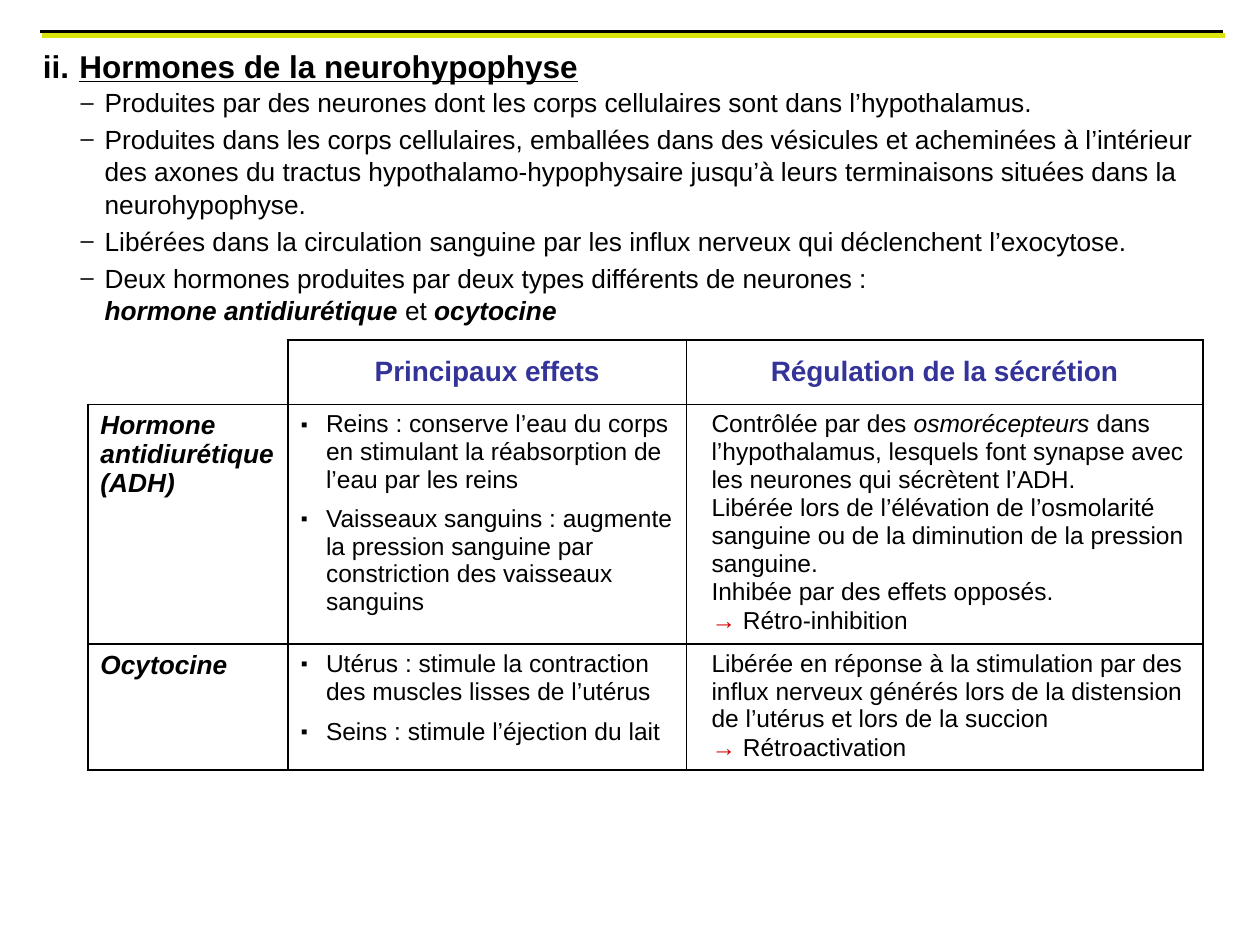
from dataclasses import dataclass

from lxml import etree
from pptx import Presentation
from pptx.dml.color import RGBColor
from pptx.enum import shapes, text
from pptx.oxml.ns import qn
from pptx.util import Pt


@dataclass(frozen=True)
class Theme:
    font: str = "Arial"
    ink: str = "000000"
    heading: str = "333399"
    arrow: str = "D20000"
    rule: str = "D9E30D"
    title_size: float = 18
    header_size: float = 16
    body_size: float = 15
    cell_size: float = 14


@dataclass(frozen=True)
class Bullet:
    char: str
    color: str
    percent: int = 100


@dataclass(frozen=True)
class Run:
    text: str
    bold: bool = False
    italic: bool = False


@dataclass(frozen=True)
class Rule:
    left: float
    top: float
    width: float
    color: str
    weight: float


@dataclass(frozen=True)
class Hormone:
    name: str
    effects: tuple
    regulation: tuple
    feedback: str


T = Theme()
DASH = Bullet("–", T.ink, 90)
SQUARE = Bullet("▪", T.ink, 80)
ARROW = Bullet("→", T.arrow)

RULES = [Rule(23.8, 20.2, 676, T.rule, 3), Rule(23, 18, 676, T.ink, 1.5)]
TITLE = "Hormones de la neurohypophyse"
POINTS = [
    "Produites par des neurones dont les corps cellulaires sont dans l’hypothalamus.",
    "Produites dans les corps cellulaires, emballées dans des vésicules et acheminées "
    "à l’intérieur des axones du tractus hypothalamo-hypophysaire jusqu’à leurs "
    "terminaisons situées dans la neurohypophyse.",
    "Libérées dans la circulation sanguine par les influx nerveux qui déclenchent l’exocytose.",
    "Deux hormones produites par deux types différents de neurones :",
]
NAMES = [Run("hormone antidiurétique", True, True), Run(" et "), Run("ocytocine", True, True)]
HEADERS = ["Principaux effets", "Régulation de la sécrétion"]
HORMONES = [
    Hormone(
        "Hormone antidiurétique (ADH)",
        ("Reins : conserve l’eau du corps en stimulant la réabsorption de l’eau par les reins",
         "Vaisseaux sanguins : augmente la pression sanguine par constriction des "
         "vaisseaux sanguins"),
        ([Run("Contrôlée par des "), Run("osmorécepteurs", italic=True),
          Run(" dans l’hypothalamus, lesquels font synapse avec les neurones qui "
              "sécrètent l’ADH.")],
         "Libérée lors de l’élévation de l’osmolarité sanguine ou de la diminution de "
         "la pression sanguine.",
         "Inhibée par des effets opposés."),
        " Rétro-inhibition"),
    Hormone(
        "Ocytocine",
        ("Utérus : stimule la contraction des muscles lisses de l’utérus",
         "Seins : stimule l’éjection du lait"),
        ("Libérée en réponse à la stimulation par des influx nerveux générés lors de la "
         "distension de l’utérus et lors de la succion",),
        " Rétroactivation"),
]
COLUMNS = [114.5, 227.5, 295.2]
ROWS = [36.7, 137, 72]


def add_text(tf, content, *, size: float, color: str = T.ink, bold=False, italic=False,
             underline=False, align=text.PP_ALIGN.LEFT, level=0, margin: float = 0,
             indent: float = 0, before: float = 0, after: float = 0, spacing: float = 1,
             bullet=None, number=None):
    p = tf.paragraphs[0]
    if p.runs:
        p = tf.add_paragraph()
    p.alignment, p.level, p.line_spacing = align, level, spacing
    p.space_before, p.space_after = Pt(before), Pt(after)
    pPr = p._p.get_or_add_pPr()
    pPr.set("marL", str(Pt(margin)))
    pPr.set("indent", str(Pt(indent)))
    if bullet:
        clr = etree.SubElement(pPr, qn("a:buClr"))
        etree.SubElement(clr, qn("a:srgbClr"), val=bullet.color)
        etree.SubElement(pPr, qn("a:buSzPct"), val=str(bullet.percent * 1000))
        etree.SubElement(pPr, qn("a:buFont"), typeface=T.font)
        etree.SubElement(pPr, qn("a:buChar"), char=bullet.char)
    elif number:
        etree.SubElement(pPr, qn("a:buFont"), typeface=T.font)
        etree.SubElement(pPr, qn("a:buAutoNum"), type="romanLcPeriod", startAt=str(number))
    else:
        etree.SubElement(pPr, qn("a:buNone"))
    runs = [Run(content, bold, italic)] if isinstance(content, str) else content
    for run in runs:
        r = p.add_run()
        r.text = run.text
        r.font.name, r.font.size = T.font, Pt(size)
        r.font.bold, r.font.italic, r.font.underline = run.bold, run.italic, underline
        r.font.color.rgb = RGBColor.from_string(color)


def place(sp, left: float, top: float, width: float, height: float):
    sp.left, sp.top, sp.width, sp.height = Pt(left), Pt(top), Pt(width), Pt(height)
    tf = sp.text_frame
    tf.word_wrap, tf.auto_size = True, text.MSO_AUTO_SIZE.NONE
    tf.vertical_anchor = text.MSO_ANCHOR.TOP
    return tf


def add_rule(slide, rule: Rule) -> None:
    left, right, y = Pt(rule.left), Pt(rule.left + rule.width), Pt(rule.top)
    sp = slide.shapes.add_connector(shapes.MSO_CONNECTOR.STRAIGHT, left, y, right, y)
    sp.line.color.rgb = RGBColor.from_string(rule.color)
    sp.line.width = Pt(rule.weight)
    etree.SubElement(sp._element.spPr, qn("a:effectLst"))


def format_cell(cell, sides: str) -> None:
    tcPr = cell._tc.get_or_add_tcPr()
    for side in "LRTB":
        ln = etree.SubElement(tcPr, qn(f"a:ln{side}"), w=str(Pt(1)))
        if side in sides:
            fill = etree.SubElement(ln, qn("a:solidFill"))
            etree.SubElement(fill, qn("a:srgbClr"), val=T.ink)
        else:
            etree.SubElement(ln, qn("a:noFill"))
    cell.fill.background()


def add_hormone_table(slide) -> None:
    frame = slide.shapes.add_table(len(ROWS), len(COLUMNS), Pt(50.2), Pt(194.4),
                                   Pt(sum(COLUMNS)), Pt(sum(ROWS)))
    table = frame.table
    table.first_row = table.horz_banding = False
    for column, width in zip(table.columns, COLUMNS):
        column.width = Pt(width)
    for row, height in zip(table.rows, ROWS):
        row.height = Pt(height)
    for i in range(len(ROWS)):
        for j in range(len(COLUMNS)):
            format_cell(table.cell(i, j), "LRTB" if i or j else "RB")

    for j, header in enumerate(HEADERS, 1):
        cell = table.cell(0, j)
        cell.vertical_anchor = text.MSO_ANCHOR.MIDDLE
        add_text(cell.text_frame, header, size=T.header_size, color=T.heading, bold=True,
                 align=text.PP_ALIGN.CENTER)
    for i, hormone in enumerate(HORMONES, 1):
        name, effects, regulation = (table.cell(i, j).text_frame for j in range(3))
        add_text(name, hormone.name, size=T.body_size, bold=True, italic=True)
        for effect in hormone.effects:
            add_text(effects, effect, size=T.cell_size, margin=14.4, indent=-14.4,
                     after=7, bullet=SQUARE)
        for item in hormone.regulation:
            add_text(regulation, item, size=T.cell_size, margin=7.2, after=0.8)
        add_text(regulation, hormone.feedback, size=T.cell_size, margin=7.2, bullet=ARROW)


def main() -> None:
    prs = Presentation()
    prs.slide_width, prs.slide_height = Pt(720), Pt(540)
    slide = prs.slides.add_slide(prs.slide_layouts[1])
    for rule in RULES:
        add_rule(slide, rule)

    title = place(slide.shapes.title, 17.3, 23, 676, 28)
    title.margin_bottom = 0
    add_text(title, TITLE, size=T.title_size, bold=True, underline=True,
             margin=20.9, indent=-20.9, number=2)

    body = place(slide.placeholders[1], 17.3, 45, 676, 146)
    for point in POINTS:
        add_text(body, point, size=T.body_size, level=1, margin=35.3, indent=-13.7,
                 before=2.25, spacing=1.04, bullet=DASH)
    add_text(body, NAMES, size=T.body_size, level=1, margin=35.3, spacing=1.04)

    add_hormone_table(slide)
    prs.save("out.pptx")


if __name__ == "__main__":
    main()
